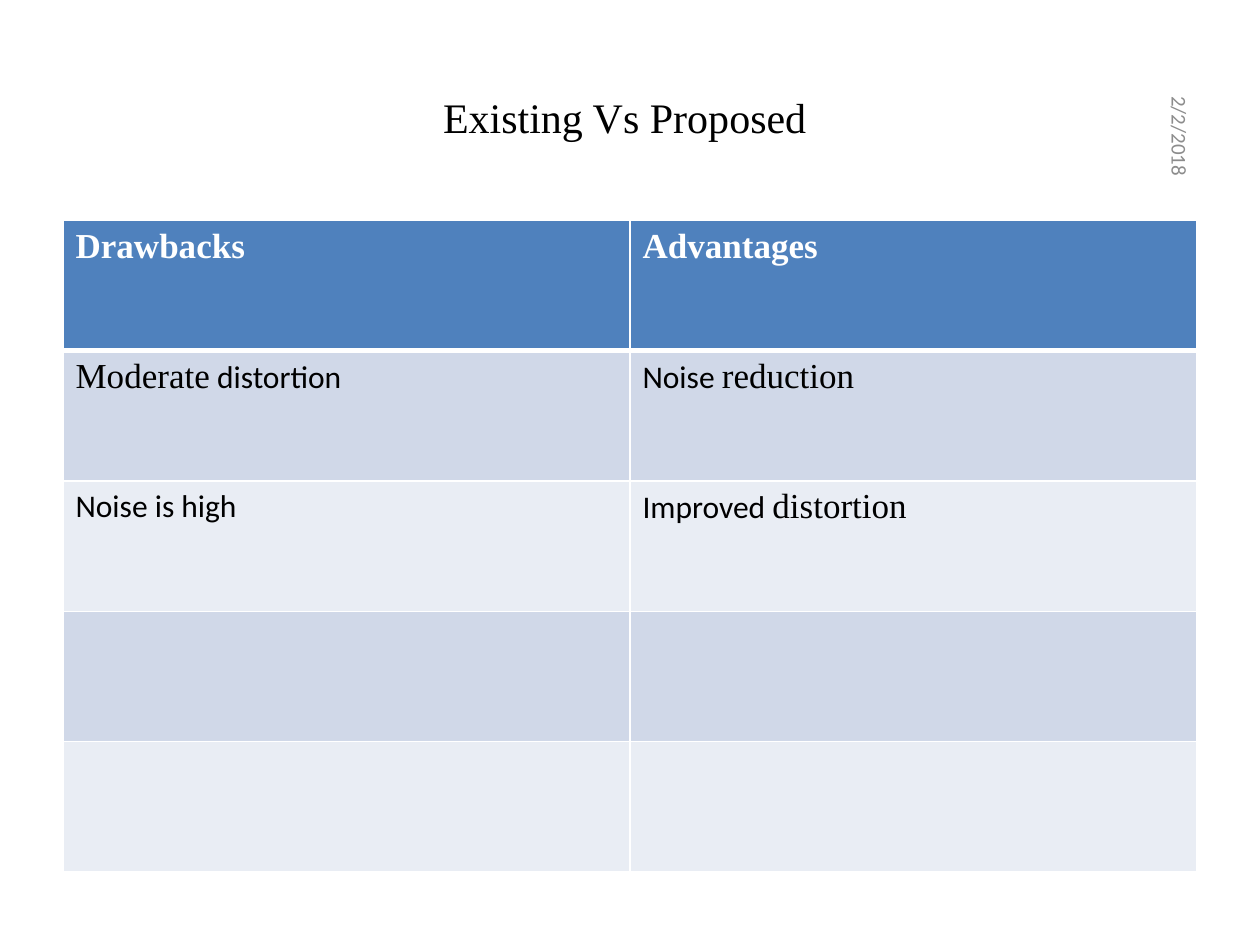
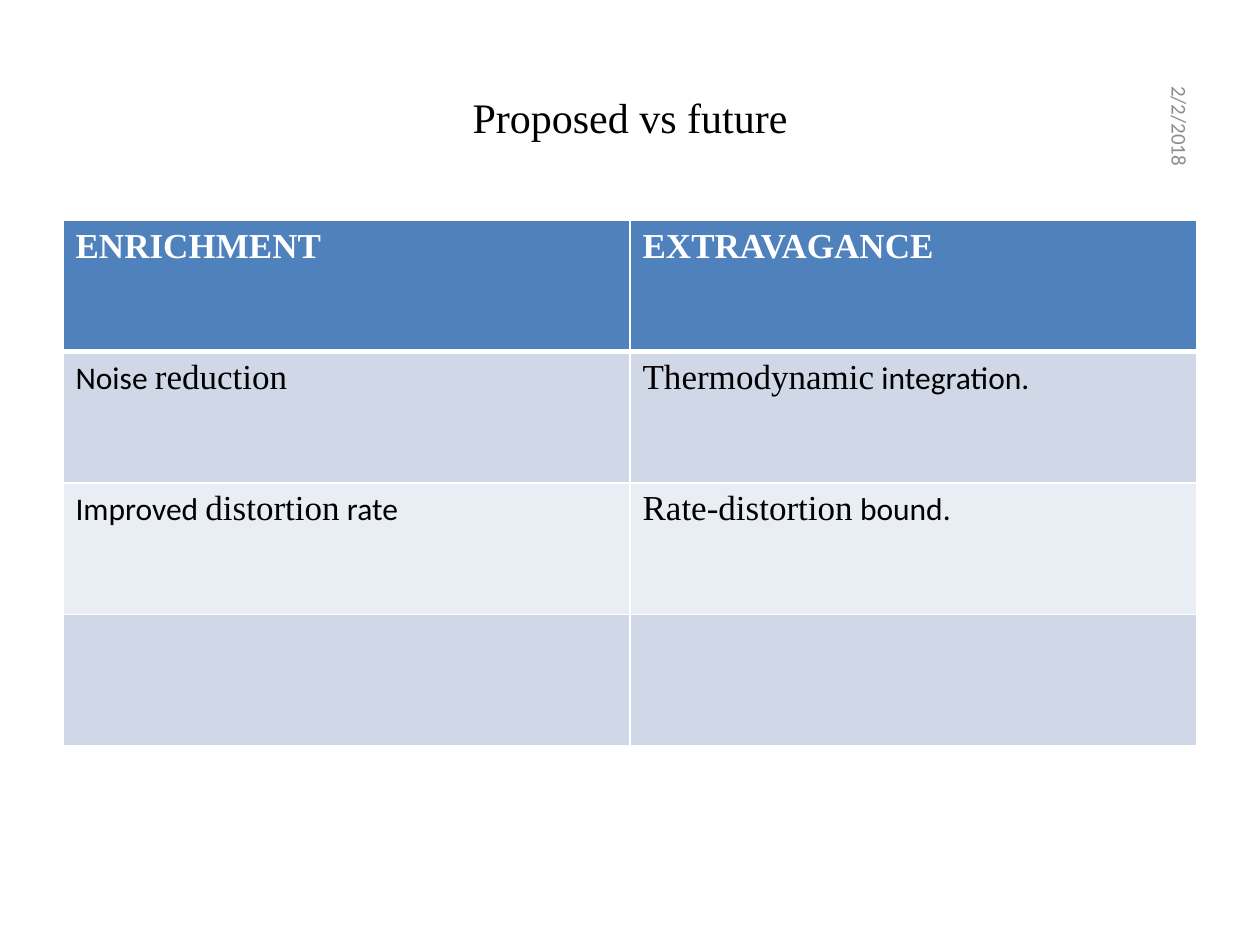
import pptx
import pptx.dml.color
import pptx.enum.text
import pptx.oxml
import pptx.oxml.ns
import pptx.util

Inches = pptx.util.Inches
Pt = pptx.util.Pt
RGBColor = pptx.dml.color.RGBColor
ALIGN = pptx.enum.text.PP_ALIGN
ANCHOR = pptx.enum.text.MSO_ANCHOR

BLACK = RGBColor(0x00, 0x00, 0x00)
WHITE = RGBColor(0xFF, 0xFF, 0xFF)
GREY = RGBColor(0x8C, 0x8C, 0x8C)
HEADER_BLUE = RGBColor(0x4F, 0x81, 0xBD)
BANDS = (RGBColor(0xD0, 0xD8, 0xE8), RGBColor(0xE9, 0xED, 0xF4))

SERIF = "Times New Roman"
SANS = "Calibri"
CELL_SIZES = {SERIF: 20, SANS: 18}

TITLE_BOX = (0.5, 0.3, 9, 1.25)
DATE = "2/2/2018"

# Each cell is a list of (text, font) runs.
NOISE_REDUCTION = [("Noise ", SANS), ("reduction", SERIF)]
IMPROVED_DISTORTION = [("Improved ", SANS), ("distortion", SERIF)]

EXISTING_VS_PROPOSED = [
    [[("Drawbacks", SERIF)], [("Advantages", SERIF)]],
    [[("Moderate", SERIF), (" distortion", SANS)], NOISE_REDUCTION],
    [[("Noise is high", SANS)], IMPROVED_DISTORTION],
    [[], []],
    [[], []],
]
PROPOSED_VS_FUTURE = [
    [[("ENRICHMENT", SERIF)], [("EXTRAVAGANCE", SERIF)]],
    [NOISE_REDUCTION, [("Thermodynamic", SERIF), (" integration.", SANS)]],
    [IMPROVED_DISTORTION + [(" rate", SANS)],
     [("Rate-distortion", SERIF), (" bound.", SANS)]],
    [[], []],
]


def add_run(p, text, font, size, color, bold=False):
    r = p.add_run()
    r.text = text
    r.font.name = font
    r.font.size = Pt(size)
    r.font.color.rgb = color
    r.font.bold = bold


def add_label(slide, box, text, font, size, color, align=ALIGN.LEFT):
    """Add a one-line text box, centred vertically in its box."""
    sp = slide.shapes.add_textbox(*map(Inches, box))
    tf = sp.text_frame
    tf.word_wrap = True
    tf.vertical_anchor = ANCHOR.MIDDLE
    p = tf.paragraphs[0]
    p.alignment = align
    add_run(p, text, font, size, color)
    return sp


def add_date(slide, top):
    sp = add_label(slide, (8.2, top, 2.33, 0.4), DATE, SANS, 12, GREY)
    sp.rotation = 90


def set_borders(cell, **widths):
    """Draw white cell borders; widths are points for L, R, T and B."""
    tc_pr = cell._tc.get_or_add_tcPr()
    for i, side in enumerate("LRTB"):
        line = pptx.oxml.parse_xml(
            f'<a:ln{side} {pptx.oxml.ns.nsdecls("a")} w="{Pt(widths.get(side, 1))}">'
            f'<a:solidFill><a:srgbClr val="{WHITE}"/></a:solidFill></a:ln{side}>')
        tc_pr.insert(i, line)


def add_comparison_table(slide, box, rows):
    table = slide.shapes.add_table(
        len(rows), len(rows[0]), *map(Inches, box)).table
    for i, row in enumerate(rows):
        header = i == 0
        for j, runs in enumerate(row):
            cell = table.cell(i, j)
            cell.fill.solid()
            cell.fill.fore_color.rgb = HEADER_BLUE if header else BANDS[(i - 1) % 2]
            set_borders(cell, T=3 if i == 1 else 1, B=3 if header else 1)
            p = cell.text_frame.paragraphs[0]
            for text, font in runs:
                add_run(p, text, font, CELL_SIZES[font],
                        WHITE if header else BLACK, header)


def add_comparison_slide(prs, title, rows, table_height, date_top):
    slide = prs.slides.add_slide(prs.slide_layouts[6])
    add_label(slide, TITLE_BOX, title, SERIF, 24, BLACK, ALIGN.CENTER)
    add_comparison_table(slide, (0.5, 1.75, 9, table_height), rows)
    add_date(slide, date_top)


def main():
    prs = pptx.Presentation()
    prs.slide_width = Inches(10)
    prs.slide_height = Inches(7.5)
    add_comparison_slide(prs, "Existing Vs Proposed ", EXISTING_VS_PROPOSED, 5.17, 1.63)
    add_comparison_slide(prs, "Proposed vs future", PROPOSED_VS_FUTURE, 4.17, 1.55)
    prs.save("out.pptx")


if __name__ == "__main__":
    main()
